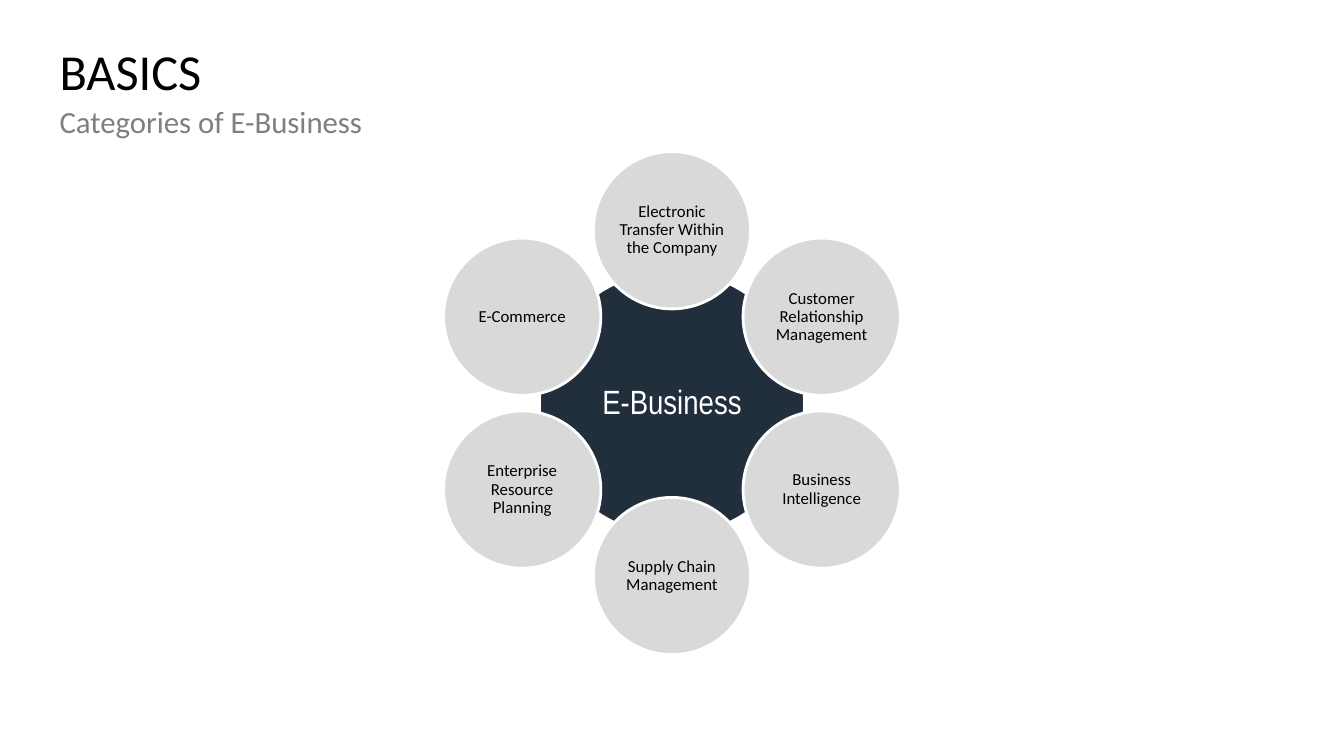
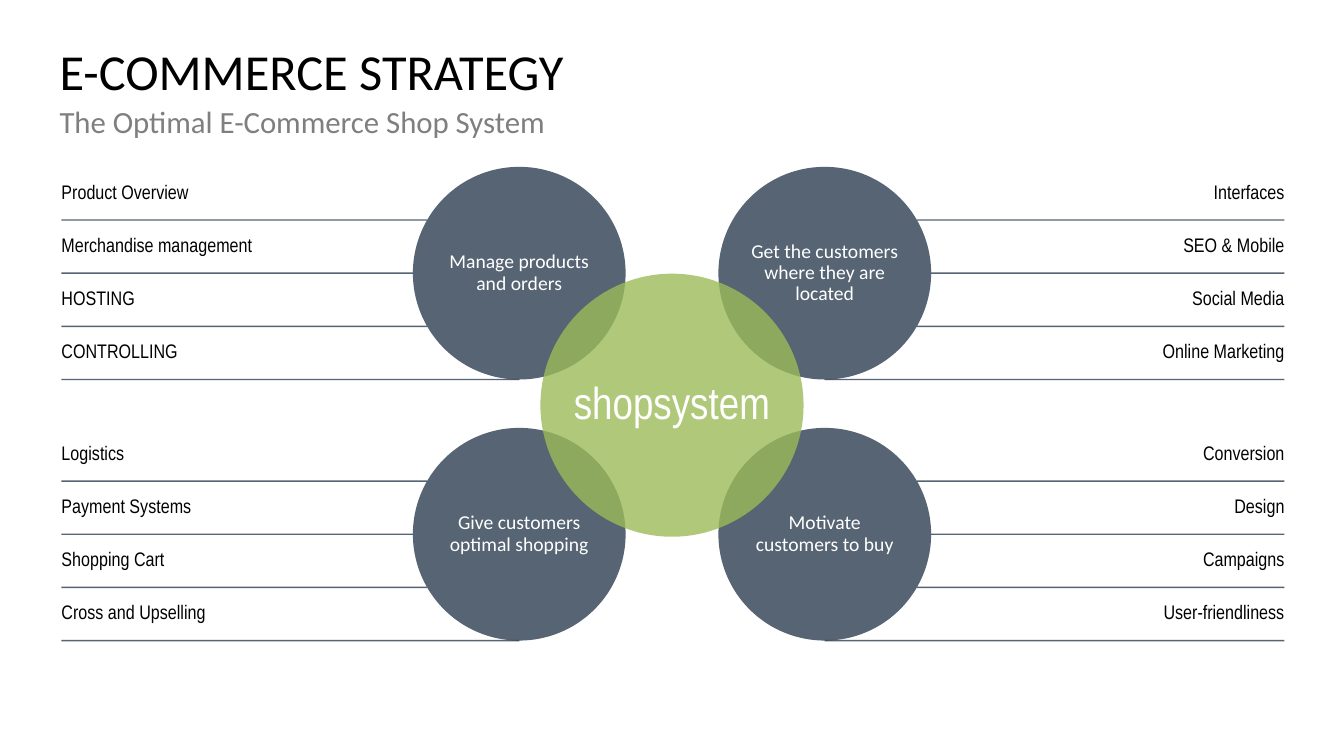
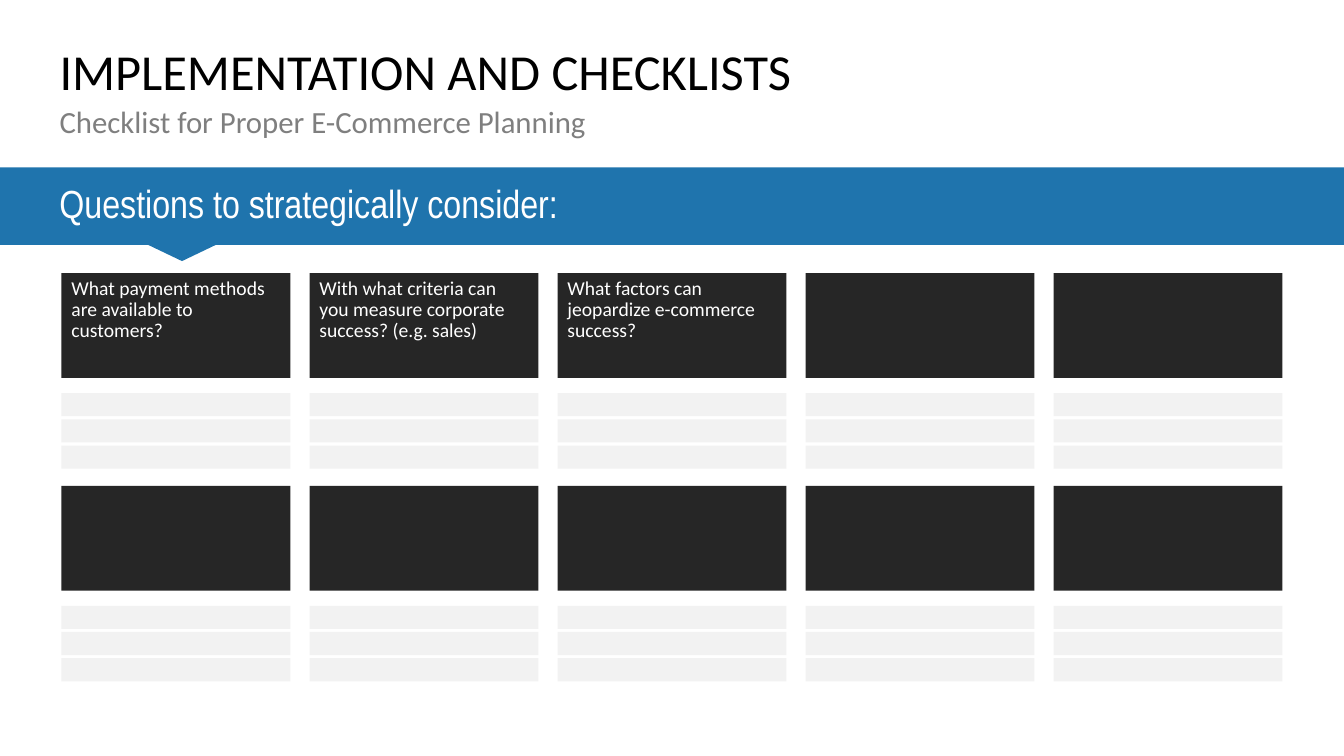
"""Builds three e-business slides: categories, shop system and planning checklist."""
from math import cos, radians, sin, sqrt

from pptx import Presentation
from pptx.dml.color import RGBColor
from pptx.enum.shapes import MSO_CONNECTOR, MSO_SHAPE as Shape
from pptx.enum.text import MSO_ANCHOR as Anchor, MSO_AUTO_SIZE, PP_ALIGN as Align
from pptx.oxml.ns import qn
from pptx.oxml.xmlchemy import OxmlElement
from pptx.util import Inches, Pt

BODY, NARROW = "Calibri", "Arial Narrow"
BLACK, WHITE, GREY = "000000", "FFFFFF", "7F7F7F"
NAVY, SLATE, GREEN, BLUE = "212E3C", "2C3E50", "9BBB59", "1F74AD"
DISC, CARD, FIELD = "D9D9D9", "262626", "F2F2F2"
WIDTH, HEIGHT = 13.33, 7.5
MIDDLE = WIDTH / 2
LEFT, RIGHT = 0.61, 12.74
HEAD_LEFT, HEAD_WIDTH = 0.59, 12.15

CATEGORIES = [
    "Electronic Transfer Within the Company",
    "Customer Relationship Management",
    "Business Intelligence",
    "Supply Chain Management",
    "Enterprise Resource Planning",
    "E-Commerce",
]
GOALS = [
    (8.18, 2.71, "Get the customers where they are located",
     ["Interfaces", "SEO & Mobile", "Social Media", "Online Marketing"]),
    (8.18, 5.3, "Motivate\vcustomers to buy",
     ["Conversion", "Design", "Campaigns", "User-friendliness"]),
    (5.15, 5.3, "Give customers optimal shopping",
     ["Logistics", "Payment Systems", "Shopping Cart", "Cross and Upselling"]),
    (5.15, 2.71, "Manage products and orders",
     ["Product Overview", "Merchandise management", "HOSTING", "CONTROLLING"]),
]
QUESTIONS = [
    ["What payment methods are available to customers?",
     "With what criteria can you measure corporate success? (e.g. sales)",
     "What factors can jeopardize e-commerce success?", "", ""],
    [""] * 5,
]


def rgb(color):
    return RGBColor.from_string(color)


def set_alpha(sp, percent):
    for clr in sp._element.spPr.iter(qn("a:srgbClr")):
        alpha = OxmlElement("a:alpha")
        alpha.set("val", str(percent * 1000))
        clr.append(alpha)


def write(sp, text, size, color, font=BODY, align=Align.LEFT, anchor=Anchor.TOP,
          inset=(0, 0), spacing=0.9):
    tf = sp.text_frame
    tf.text = text
    tf.word_wrap = True
    tf.auto_size = MSO_AUTO_SIZE.NONE
    tf.vertical_anchor = anchor
    tf.margin_left = tf.margin_right = Inches(inset[0])
    tf.margin_top = tf.margin_bottom = Inches(inset[1])
    p = tf.paragraphs[0]
    p.alignment = align
    p.line_spacing = spacing
    for r in p.runs:
        r.font.name, r.font.size = font, Pt(size)
        r.font.color.rgb = rgb(color)


def add_text(slide, x, y, w, h, *args, **style):
    sp = slide.shapes.add_textbox(Inches(x), Inches(y), Inches(w), Inches(h))
    write(sp, *args, **style)


def add_box(slide, kind, x, y, w, h, fill):
    sp = slide.shapes.add_shape(kind, Inches(x), Inches(y), Inches(w), Inches(h))
    sp.shadow.inherit = False
    sp.fill.solid()
    sp.fill.fore_color.rgb = rgb(fill)
    sp.line.fill.background()
    return sp


def add_circle(slide, cx, cy, d, fill, text, size, color, font=BODY, inset=0):
    sp = add_box(slide, Shape.OVAL, cx - d / 2, cy - d / 2, d, d, fill)
    write(sp, text, size, color, font, Align.CENTER, Anchor.MIDDLE, (inset, inset))
    return sp


def add_rule(slide, x1, x2, y):
    line = slide.shapes.add_connector(
        MSO_CONNECTOR.STRAIGHT, Inches(x1), Inches(y), Inches(x2), Inches(y))
    line.line.color.rgb = rgb(SLATE)
    line.line.width = Pt(1)
    set_alpha(line, 80)
    line._element.spPr.append(OxmlElement("a:effectLst"))


def add_slide(prs, title, subtitle):
    slide = prs.slides.add_slide(prs.slide_layouts[5])
    sp = slide.shapes.title
    sp.left, sp.top = Inches(HEAD_LEFT), Inches(0.47)
    sp.width, sp.height = Inches(HEAD_WIDTH), Inches(1.18)
    write(sp, title, 36, BLACK)
    add_text(slide, HEAD_LEFT, 1.06, HEAD_WIDTH, 0.59, subtitle, 22, GREY)
    return slide


def build_categories(prs):
    slide = add_slide(prs, "BASICS", "Categories of E-Business")
    cy, orbit = 4, 1.715
    discs = [add_circle(slide, MIDDLE, cy, 2.63, NAVY, "E-Business", 24, WHITE, NARROW, 0.03)]
    for i, name in enumerate(CATEGORIES):
        angle = radians(i * 360 / len(CATEGORIES))
        discs.append(add_circle(slide, MIDDLE + orbit * sin(angle), cy - orbit * cos(angle),
                                1.56, DISC, name, 12, BLACK, inset=0.02))
    for sp in discs:
        sp.line.color.rgb = rgb(WHITE)
        sp.line.width = Pt(2)


def build_shop_system(prs):
    slide = add_slide(prs, "E-COMMERCE STRATEGY", "The Optimal E-Commerce Shop System")
    d, label_w = 2.11, 2.35
    radius = d / 2
    for cx, cy, goal, _ in GOALS:
        set_alpha(add_circle(slide, cx, cy, d, SLATE, goal, 14, WHITE), 80)
    hub = add_circle(slide, MIDDLE, 4.02, 2.61, GREEN, "shopsystem", 32, WHITE, NARROW)
    hub.text_frame.word_wrap = False
    set_alpha(hub, 80)
    for cx, cy, _, labels in GOALS:
        on_right = cx > MIDDLE
        side, edge = (1, RIGHT) if on_right else (-1, LEFT)
        for i, label in enumerate(labels):
            dy = (i - 1) * radius / 2
            add_text(slide, RIGHT - label_w if on_right else LEFT, cy + dy - 0.4,
                     label_w, 0.39, label, 14, BLACK, font=NARROW,
                     align=Align.RIGHT if on_right else Align.LEFT, spacing=1.0)
            add_rule(slide, cx + side * sqrt(radius ** 2 - dy ** 2), edge, cy + dy)


def build_checklist(prs):
    slide = add_slide(prs, "IMPLEMENTATION AND CHECKLISTS",
                      "Checklist for Proper E-Commerce Planning")
    band = add_box(slide, Shape.RECTANGLE, 0, 1.66, WIDTH, 0.77, BLUE)
    write(band, "Questions to strategically consider:", 28, WHITE, NARROW,
          anchor=Anchor.MIDDLE, inset=(HEAD_LEFT, 0))
    add_box(slide, Shape.ISOSCELES_TRIANGLE, 1.45, 2.42, 0.71, 0.17, BLUE).rotation = 180
    card_w, pitch = 2.27, 2.46
    for row, questions in enumerate(QUESTIONS):
        y = 2.71 + row * 2.11
        for col, question in enumerate(questions):
            x = LEFT + col * pitch
            card = add_box(slide, Shape.RECTANGLE, x, y, card_w, 1.04, CARD)
            if question:
                write(card, question, 14, WHITE, inset=(0.1, 0.05))
            for i in range(3):
                add_box(slide, Shape.RECTANGLE, x, y + 1.19 + i * 0.26, card_w, 0.23, FIELD)


def main():
    prs = Presentation()
    prs.slide_width, prs.slide_height = Inches(WIDTH), Inches(HEIGHT)
    build_categories(prs)
    build_shop_system(prs)
    build_checklist(prs)
    prs.save("out.pptx")


if __name__ == "__main__":
    main()
